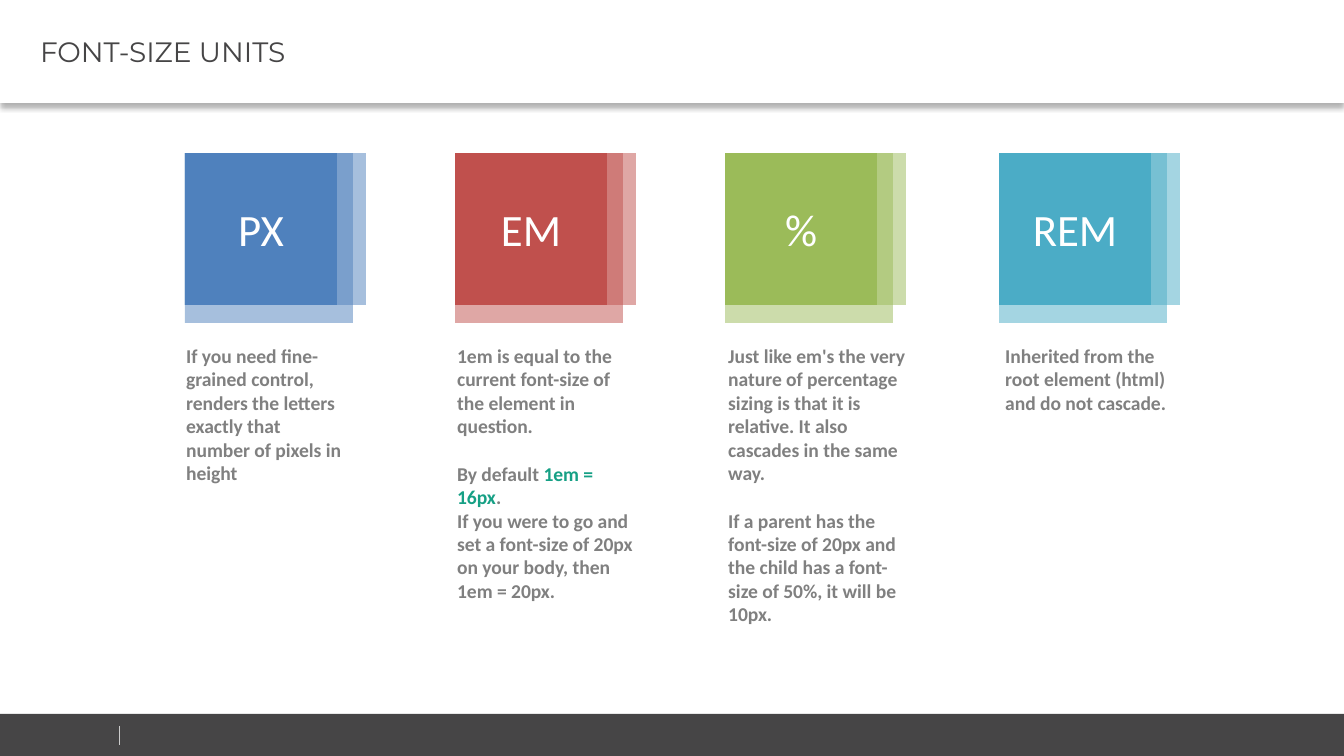
from lxml import etree
from pptx import Presentation
from pptx.dml.color import RGBColor
from pptx.enum.shapes import MSO_CONNECTOR, MSO_SHAPE
from pptx.enum.text import MSO_ANCHOR, MSO_AUTO_SIZE, PP_ALIGN
from pptx.oxml.ns import qn
from pptx.util import Emu, Pt

RECTANGLE = MSO_SHAPE.RECTANGLE
STRAIGHT = MSO_CONNECTOR.STRAIGHT
MIDDLE = MSO_ANCHOR.MIDDLE
GROW = MSO_AUTO_SIZE.SHAPE_TO_FIT_TEXT
LEFT, CENTER = PP_ALIGN.LEFT, PP_ALIGN.CENTER

COLORS = {
    "white": "FFFFFF", "dark": "464546", "divider": "CCCCCC", "shadow": "000000",
    "note": "808080", "accent": "16A085",
    "blue": "4F81BD", "red": "C0504D", "green": "9BBB59", "aqua": "4BACC6",
}
TITLE = "FONT-SIZE UNITS"

# Each paragraph: (space before in pt, [(text, colour), ...])
UNITS = [
    {"label": "PX", "color": "blue", "tile_x": 185, "note_box": (173, 187, 156), "note": [
        (0, [("If you need fine-grained control, renders the letters exactly that "
              "number of pixels in height", "note")]),
    ]},
    {"label": "EM", "color": "red", "tile_x": 455, "note_box": (444, 202, 323), "note": [
        (0, [("1em is equal to the current font-size of the element in question.", "note")]),
        (12.8, [("By default ", "note"), ("1em = 16px", "accent"), (".", "note")]),
        (0, [("If you were to go and set a font-size of 20px on your body, "
              "then 1em = 20px.", "note")]),
    ]},
    {"label": "%", "color": "green", "tile_x": 725, "note_box": (715, 212, 298), "note": [
        (0, [("Just like em's the very nature of percentage sizing is that it is relative. "
              "It also cascades in the same way.", "note")]),
        (12.8, [("If a parent has the font-size of 20px and the child has a font-size of 50%, "
                 "it will be 10px.", "note")]),
    ]},
    {"label": "REM", "color": "aqua", "tile_x": 999, "note_box": (992, 190, 109), "note": [
        (0, [("Inherited from the root element (html) and do not cascade.", "note")]),
    ]},
]

SLIDE_W, SLIDE_H = 1344, 756
HEADER_H, FOOTER_Y = 103, 714
TILE_Y, TILE = 153, 152
# Translucent layers first, the solid tile on top: (width, height, opacity %)
TILE_LAYERS = [(168, 170, 50), (181, TILE, 50), (TILE, TILE, 100)]
NOTE_Y = 337


def px(value):
    return Emu(round(value * 9144000 / SLIDE_W))


def rgb(name):
    return RGBColor.from_string(COLORS[name])


def style(run, font, size, color, bold=False):
    run.font.name = font
    run.font.size = Pt(size)
    run.font.bold = bold
    run.font.color.rgb = rgb(color)


def add_rect(shapes, x, y, w, h, color, opacity=100):
    rect = shapes.add_shape(RECTANGLE, px(x), px(y), px(w), px(h))
    rect.shadow.inherit = False
    rect.fill.solid()
    rect.fill.fore_color.rgb = rgb(color)
    rect.line.fill.background()
    if opacity < 100:
        fill_color = rect.fill._xPr.find(qn("a:solidFill"))[0]
        etree.SubElement(fill_color, qn("a:alpha"), val=str(opacity * 1000))
    return rect


def add_header(slide):
    header = slide.shapes.title
    header.left, header.top, header.width, header.height = 0, 0, px(SLIDE_W), px(HEADER_H)
    header.fill.solid()
    header.fill.fore_color.rgb = rgb("white")
    effects = etree.SubElement(header._element.spPr, qn("a:effectLst"))
    shadow = etree.SubElement(effects, qn("a:outerShdw"), blurRad=str(Pt(3.1)),
                              dist=str(Pt(2)), dir="5400000", rotWithShape="0")
    shade = etree.SubElement(shadow, qn("a:srgbClr"), val=COLORS["shadow"])
    etree.SubElement(shade, qn("a:alpha"), val="30000")

    frame = header.text_frame
    frame.text = TITLE
    frame.auto_size = MSO_AUTO_SIZE.NONE
    frame.vertical_anchor = MIDDLE
    frame.margin_left, frame.margin_right = px(40), px(9)
    frame.margin_top = frame.margin_bottom = px(5)
    frame.paragraphs[0].alignment = LEFT
    style(frame.paragraphs[0].runs[0], "Montserrat", 15, "dark")


def add_footer(slide):
    add_rect(slide.shapes, 0, FOOTER_Y, SLIDE_W, SLIDE_H - FOOTER_Y, "dark")
    divider = slide.shapes.add_connector(STRAIGHT, px(119), px(726), px(119), px(745))
    divider.line.color.rgb = rgb("divider")
    divider.line.width = Pt(0.25)
    etree.SubElement(divider._element.spPr, qn("a:effectLst"))


def add_tile(slide, unit):
    group = slide.shapes.add_group_shape()
    for width, height, opacity in TILE_LAYERS:
        tile = add_rect(group.shapes, unit["tile_x"], TILE_Y, width, height,
                        unit["color"], opacity)
    frame = tile.text_frame
    frame.text = unit["label"]
    frame.vertical_anchor = MIDDLE
    frame.paragraphs[0].alignment = CENTER
    style(frame.paragraphs[0].runs[0], "Calibri", 24, "white")


def add_note(slide, unit):
    x, width, height = unit["note_box"]
    frame = slide.shapes.add_textbox(px(x), px(NOTE_Y), px(width), px(height)).text_frame
    frame.word_wrap = True
    frame.auto_size = GROW
    for i, (space, pieces) in enumerate(unit["note"]):
        paragraph = frame.add_paragraph() if i else frame.paragraphs[0]
        paragraph.space_before = Pt(space)
        for text, color in pieces:
            run = paragraph.add_run()
            run.text = text
            style(run, "Calibri", 10.5, color, bold=True)


def main():
    deck = Presentation()
    deck.slide_width, deck.slide_height = px(SLIDE_W), px(SLIDE_H)
    slide = deck.slides.add_slide(deck.slide_layouts[5])
    add_header(slide)
    add_footer(slide)
    for unit in UNITS:
        add_tile(slide, unit)
        add_note(slide, unit)
    deck.save("out.pptx")


if __name__ == "__main__":
    main()
